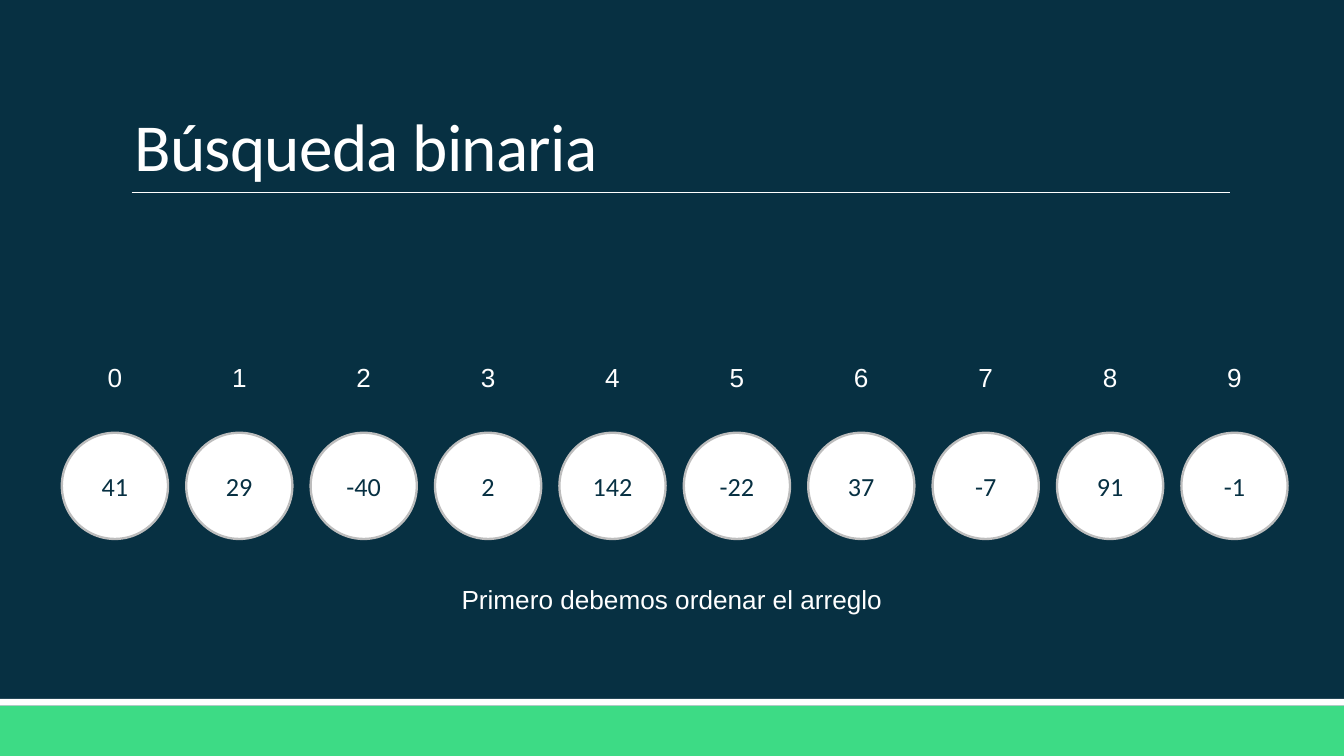
import pptx
import pptx.util
import pptx.dml.color
import pptx.enum.shapes
import pptx.enum.text
import pptx.oxml.ns
import lxml.etree

Inches, Pt = pptx.util.Inches, pptx.util.Pt
RGBColor = pptx.dml.color.RGBColor
SHAPE = pptx.enum.shapes.MSO_SHAPE
ANCHOR = pptx.enum.text.MSO_ANCHOR
ALIGN = pptx.enum.text.PP_ALIGN
FIT = pptx.enum.text.MSO_AUTO_SIZE

HEADING = "Búsqueda binaria"
NUMBERS = [41, 29, -40, 2, 142, -22, 37, -7, 91, -1]
MESSAGE = "Primero debemos ordenar el arreglo"

NAVY = RGBColor(0x07, 0x30, 0x42)
GREEN = RGBColor(0x3D, 0xDB, 0x85)
WHITE = RGBColor(0xFF, 0xFF, 0xFF)
GREY = RGBColor(0xBD, 0xBD, 0xBD)

BANDS = [(5.25, 0.38, GREEN), (5.2, 0.05, WHITE)]
FIRST_LEFT, LAST_LEFT, CIRCLE_TOP, DIAMETER = 0.46, 8.79, 3.22, 0.79
INDEX_TOP, INDEX_WIDTH, LABEL_HEIGHT = 2.64, 0.47, 0.34

HEADING_FONT = {"size": Pt(36), "name": "Calibri"}
NUMBER_FONT = {"size": Pt(14), "name": "Calibri"}
LABEL_FONT = {"size": Pt(14), "name": "Arial"}


def write(frame, text, font, color, align, frame_format):
    for key, value in frame_format.items():
        setattr(frame, key, value)
    paragraph = frame.paragraphs[0]
    paragraph.alignment = align
    run = paragraph.add_run()
    run.text = text
    for key, value in font.items():
        setattr(run.font, key, value)
    run.font.color.rgb = color
    return run


def add_filled(kind, left, top, width, height, color):
    part = slide.shapes.add_shape(
        kind, Inches(left), Inches(top), Inches(width), Inches(height))
    part.shadow.inherit = False
    part.fill.solid()
    part.fill.fore_color.rgb = color
    part.line.fill.background()
    return part


def add_label(text, left, top, width):
    label = slide.shapes.add_textbox(
        Inches(left), Inches(top), Inches(width), Inches(LABEL_HEIGHT))
    write(label.text_frame, text, LABEL_FONT, WHITE, ALIGN.CENTER,
          {"word_wrap": True, "auto_size": FIT.SHAPE_TO_FIT_TEXT})


deck = pptx.Presentation()
deck.slide_width = Inches(10)
deck.slide_height = Inches(10 * 9 / 16)
slide = deck.slides.add_slide(deck.slide_layouts[5])
slide.background.fill.solid()
slide.background.fill.fore_color.rgb = NAVY

for top, height, color in BANDS:
    add_filled(SHAPE.RECTANGLE, 0, top, 10, height, color)

underline = slide.shapes.add_connector(
    pptx.enum.shapes.MSO_CONNECTOR.STRAIGHT,
    Inches(0.98), Inches(1.43), Inches(9.15), Inches(1.43))
underline.line.color.rgb = WHITE
underline.line.width = Pt(0.5)
lxml.etree.SubElement(underline._element.spPr, pptx.oxml.ns.qn("a:effectLst"))

heading = slide.shapes.title
heading_place = {"left": 0.9, "top": 0.24, "width": 8.25, "height": 1.19}
for key, value in heading_place.items():
    setattr(heading, key, Inches(value))
heading_run = write(heading.text_frame, HEADING, HEADING_FONT, WHITE, ALIGN.LEFT,
                    {"vertical_anchor": ANCHOR.BOTTOM, "word_wrap": True,
                     "auto_size": FIT.NONE})
heading_run.font._element.set("spc", "-40")
heading.text_frame.paragraphs[0].line_spacing = 0.85

pitch = (LAST_LEFT - FIRST_LEFT) / (len(NUMBERS) - 1)
for index, number in enumerate(NUMBERS):
    left = FIRST_LEFT + index * pitch
    circle = add_filled(SHAPE.OVAL, left, CIRCLE_TOP, DIAMETER, DIAMETER, WHITE)
    circle.line.color.rgb = GREY
    circle.line.width = Pt(1.25)
    write(circle.text_frame, str(number), NUMBER_FONT, NAVY, ALIGN.CENTER,
          {"vertical_anchor": ANCHOR.MIDDLE, "word_wrap": True})
    add_label(str(index), left + (DIAMETER - INDEX_WIDTH) / 2, INDEX_TOP, INDEX_WIDTH)

add_label(MESSAGE, 2.81, 4.29, 4.38)

deck.save("out.pptx")
